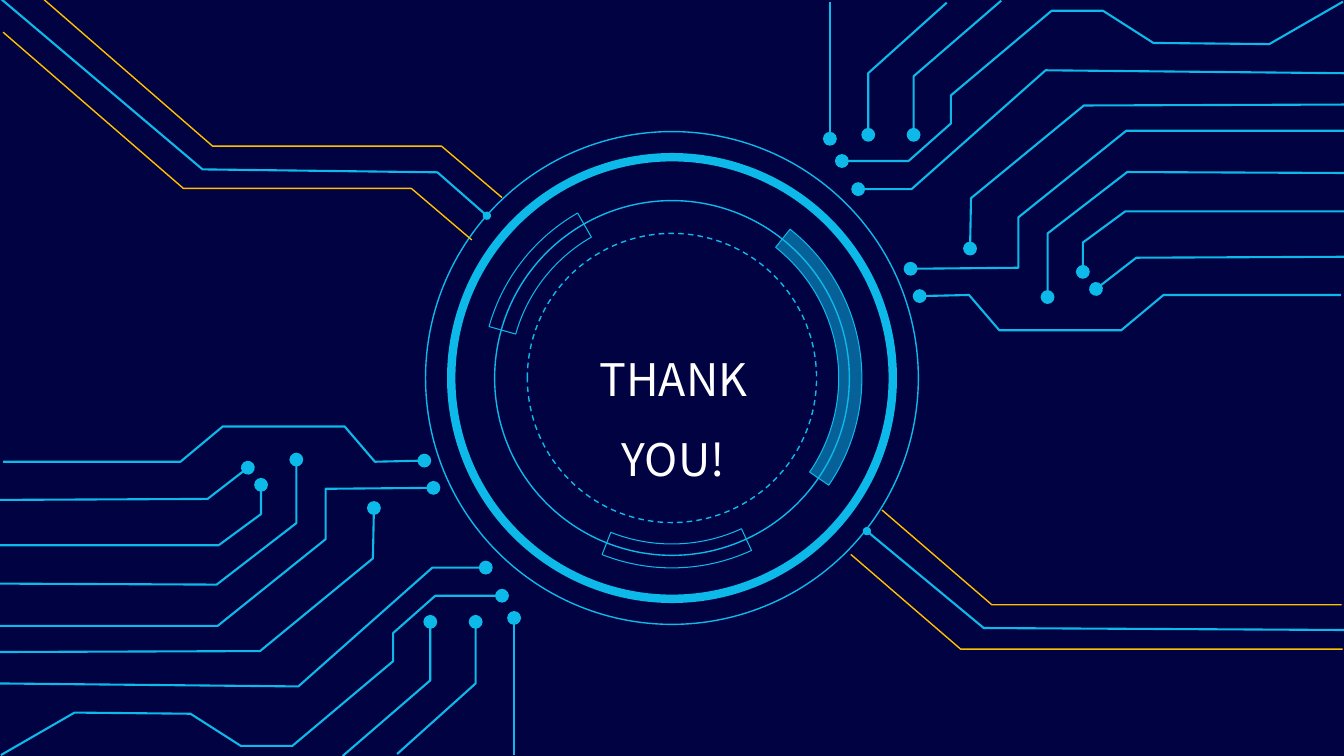
from collections import namedtuple

from lxml.etree import SubElement
from pptx import Presentation
from pptx.dml.color import RGBColor
from pptx.enum.dml import MSO_LINE
from pptx.enum.shapes import MSO_CONNECTOR, MSO_SHAPE
from pptx.enum.text import MSO_ANCHOR, MSO_AUTO_SIZE, PP_ALIGN
from pptx.oxml.ns import qn
from pptx.util import Pt

NAVY = RGBColor(0x01, 0x02, 0x42)
CYAN = RGBColor(0x0C, 0xB9, 0xE8)
GOLD = RGBColor(0xFF, 0xC0, 0x00)
WHITE = RGBColor(0xFF, 0xFF, 0xFF)
FONT = "Noto Sans CJK KR"

Box = namedtuple("Box", "left top width height")

CIRCUIT_TRACES = [
    [(-2, 165.8), (185.8, 165.1), (266.4, 98.9), (267.1, 62.9)],
    [(-0.7, 147.1), (155.5, 147.1), (232.6, 85.2), (232.6, 49.2), (309.6, 48.5)],
    [(2.2, 29.8), (128.9, 29.8), (159.1, 4.6), (246.2, 4.6), (267.8, 29.8), (303.1, 29)],
    [(-0.7, 57.1), (148.3, 56.4), (177.1, 34.1)],
    [(-0.7, 89.5), (156.2, 89.5), (186.5, 67.2), (186.5, 46.3)],
    [(0, 116.9), (154.8, 117.6), (211.7, 73.7), (211.7, 28.3)],
    [(0, 188.2), (213.1, 190.3), (308.9, 105.4), (347, 105.4)],
    [(367.2, 239.3), (367.2, 141.4)],
    [(0.7, 239.3), (53.3, 209), (136.1, 209.8), (172.1, 232.8), (208.8, 232.8),
     (280.8, 172.3), (280.8, 152.2), (311, 125.5), (358.6, 125.5)],
    [(244.8, 240), (307.4, 186), (307.4, 144.2)],
    [(283.7, 238.6), (339.8, 188.2), (339.8, 144.2)],
]
UPPER_BUS = [
    [(30.2, -1.4), (151.9, 104.4), (315.4, 104.4), (358.6, 141.1)],
    [(2.2, 23), (131, 134.6), (293.8, 134.6), (337, 171.4)],
    [(0, -1.4), (144.7, 121), (312.5, 123.1), (347.8, 154.1)],
]
LOWER_BUS = [
    [(30, 4.3), (108.5, 72), (358.3, 72)],
    [(7.7, 36), (86.2, 103.7), (359, 103.7)],
    [(360, 90), (102.7, 88.6), (19.2, 19.4)],
]


def add_trace(page, points, color, weight, dot=None):
    """Draw an open line through the points, with an optional end dot."""
    points = [(Pt(x), Pt(y)) for x, y in points]
    if len(points) == 2:
        trace = page.shapes.add_connector(MSO_CONNECTOR.STRAIGHT, *points[0], *points[1])
        SubElement(trace._element.spPr, qn("a:effectLst"))
    else:
        builder = page.shapes.build_freeform(*points[0])
        builder.add_line_segments(points[1:], close=False)
        trace = builder.convert_to_shape()
        trace.fill.background()
        trace.shadow.inherit = False
    trace.line.color.rgb = color
    trace.line.width = Pt(weight)
    if dot:
        SubElement(trace.line._get_or_add_ln(), qn("a:tailEnd"), type="oval", w=dot, len=dot)


def add_circuit(page, box, turned=False):
    """Draw the circuit traces in the box, turned half a circle if asked."""
    for trace in CIRCUIT_TRACES:
        if turned:
            points = [(box.left + box.width - x, box.top + box.height - y) for x, y in trace]
        else:
            points = [(box.left + x, box.top + y) for x, y in trace]
        add_trace(page, points, CYAN, 1.5, "lg")


def add_bus(page, box, traces):
    """Draw two gold rails and the dotted cyan line between them."""
    *rails, middle = [[(box.left + x, box.top + y) for x, y in trace] for trace in traces]
    for rail in rails:
        add_trace(page, rail, GOLD, 1)
    add_trace(page, middle, CYAN, 1.5, "med")


def add_round(page, box, kind, diameter, weight):
    """Add an unfilled cyan shape of the given diameter, centred in the box."""
    left = box.left + (box.width - diameter) / 2
    top = box.top + (box.height - diameter) / 2
    shape = page.shapes.add_shape(kind, Pt(left), Pt(top), Pt(diameter), Pt(diameter))
    shape.shadow.inherit = False
    shape.fill.background()
    shape.line.color.rgb = CYAN
    shape.line.width = Pt(weight)
    return shape


def add_dial(page, box):
    """Draw the concentric rings and the three arc bands."""
    for diameter, weight in [(315.4, 6), (253.4, 1), (352, 1)]:
        add_round(page, box, MSO_SHAPE.OVAL, diameter, weight)
    bands = [(185.07, 20.62, 0.061), (117.42, 144.14, 0.073), (39.14, 66.95, 0.063)]
    for index, values in enumerate(bands):
        band = add_round(page, box, MSO_SHAPE.BLOCK_ARC, 271.4, 0.75)
        for place, value in enumerate(values):
            band.adjustments[place] = value
        if index == 0:
            band.fill.solid()
            band.fill.fore_color.rgb = CYAN
            color = band._element.spPr.find(qn("a:solidFill"))[0]
            SubElement(color, qn("a:alpha"), val="52000")
    inner = add_round(page, box, MSO_SHAPE.OVAL, 206.6, 1)
    inner.line.dash_style = MSO_LINE.DASH


def add_title(page, box):
    """Place the closing words in the title placeholder."""
    title = page.shapes.title
    title.left, title.top, title.width, title.height = (Pt(length) for length in box)
    frame = title.text_frame
    frame.text = "THANK YOU!"
    frame.word_wrap = True
    frame.auto_size = MSO_AUTO_SIZE.SHAPE_TO_FIT_TEXT
    frame.vertical_anchor = MSO_ANCHOR.TOP
    para = frame.paragraphs[0]
    para.alignment = PP_ALIGN.CENTER
    para.line_spacing = 1.5
    span = para.runs[0]
    span.font.name = FONT
    span.font.size = Pt(32)
    span.font.color.rgb = WHITE


def main():
    """Build and save the closing slide."""
    deck = Presentation()
    deck.slide_width, deck.slide_height = Pt(960), Pt(540)
    page = deck.slides.add_slide(deck.slide_layouts[5])
    page.background.fill.solid()
    page.background.fill.fore_color.rgb = NAVY
    add_dial(page, Box(304, 94, 352, 352))
    add_title(page, Box(383.8, 228.2, 194.4, 61.9))
    add_circuit(page, Box(0, 300, 380, 240))
    add_circuit(page, Box(580, 0.5, 380, 240), turned=True)
    add_bus(page, Box(0, 0, 360, 172), UPPER_BUS)
    add_bus(page, Box(600, 360, 360, 104), LOWER_BUS)
    deck.save("out.pptx")


if __name__ == "__main__":
    main()
